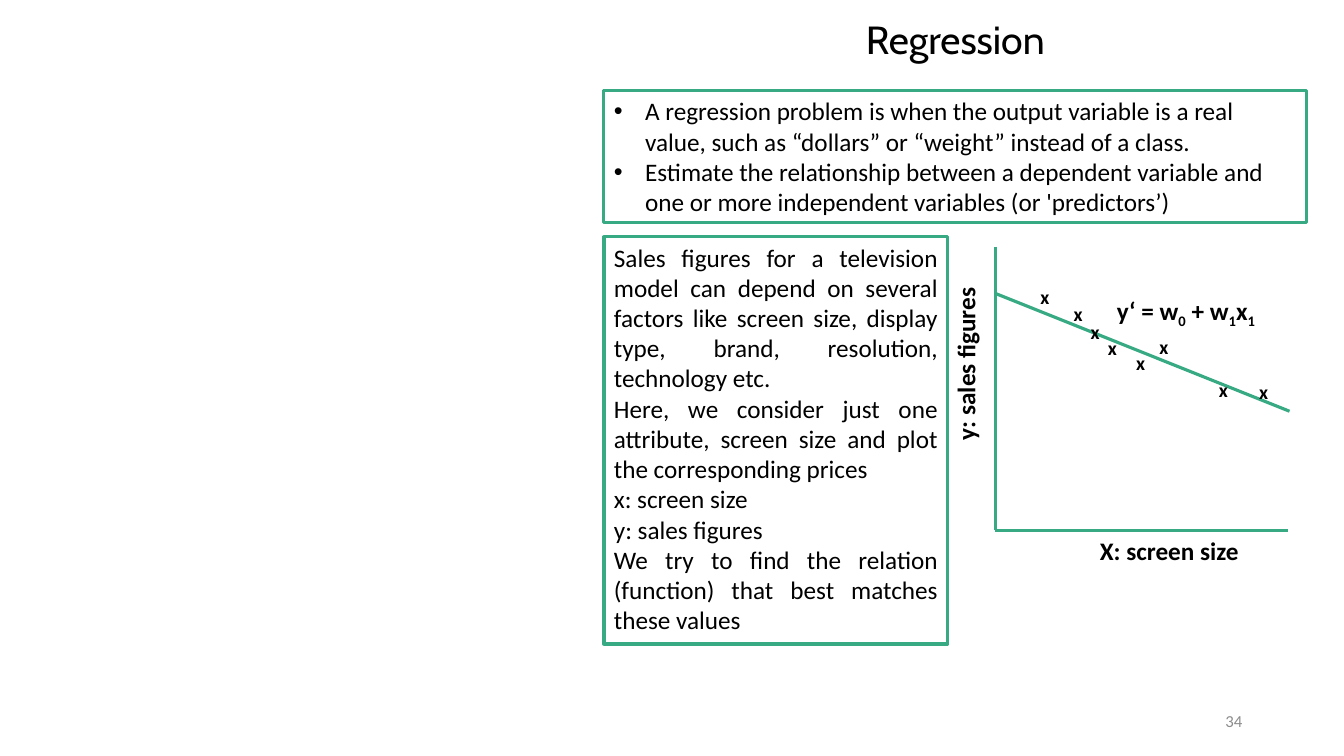
from lxml import etree
from pptx import Presentation
from pptx.dml.color import RGBColor
from pptx.enum import shapes, text
from pptx.oxml import ns
from pptx.util import Inches, Pt

GREEN = RGBColor(0x37, 0xAA, 0x84)
BLACK = RGBColor(0, 0, 0)
GREY = RGBColor(0x8C, 0x8C, 0x8C)

ALIGN = text.PP_ALIGN
ANCHOR = text.MSO_ANCHOR

DEFINITION = [
    "A regression problem is when the output variable is a real value, "
    "such as “dollars” or “weight” instead of a class.",
    "Estimate the relationship between a dependent variable and one or more "
    "independent variables (or 'predictors’)",
]
EXAMPLE = [
    ("Sales figures for a television model can depend on several factors like "
     "screen size, display type, brand, resolution, technology etc.", ALIGN.JUSTIFY),
    ("Here, we consider just one attribute, screen size and plot the "
     "corresponding prices", ALIGN.JUSTIFY),
    ("x: screen size", ALIGN.LEFT),
    ("y: sales figures", ALIGN.LEFT),
    ("We try to find the relation (function) that best matches these values",
     ALIGN.JUSTIFY),
]
# Runs of the fitted equation: text, is subscript
EQUATION = [("y‘ = w", False), ("0", True), (" + w", False),
            ("1", True), ("x", False), ("1", True)]
# Left and top of each data mark
DATA_POINTS = [(10.22, 2.78), (10.55, 2.95), (10.72, 3.12), (10.89, 3.28),
               (11.4, 3.27), (11.17, 3.43), (11.99, 3.7), (12.39, 3.72)]


def write(frame, content, first=False, size=18, font="Calibri", color=BLACK,
          bold=False, align=ALIGN.LEFT, indent=0, bullet=False, spacing=None):
    """Write one paragraph; content is a string or a list of (text, subscript)."""
    paragraph = frame.paragraphs[0] if first else frame.add_paragraph()
    paragraph.alignment = align
    if spacing:
        paragraph.line_spacing = spacing
    properties = paragraph._p.get_or_add_pPr()
    if indent:
        properties.set("marL", str(Inches(indent)))
    if bullet:
        properties.set("indent", str(-Inches(indent)))
        etree.SubElement(properties, ns.qn("a:buFont")).set("typeface", "Arial")
        etree.SubElement(properties, ns.qn("a:buChar")).set("char", "•")
    runs = [(content, False)] if isinstance(content, str) else content
    for words, subscript in runs:
        run = paragraph.add_run()
        run.text = words
        run.font.size = Pt(size)
        run.font.name = font
        run.font.bold = bold
        run.font.color.rgb = color
        if subscript:
            run.font._element.set("baseline", "-25000")


def add_label(parent, content, left, top, width, height, rotation=0,
              anchor=ANCHOR.TOP, **style):
    box = parent.add_textbox(Inches(left), Inches(top), Inches(width), Inches(height))
    box.rotation = rotation
    box.text_frame.word_wrap = True
    box.text_frame.vertical_anchor = anchor
    write(box.text_frame, content, first=True, **style)


def add_panel(parent, left, top, width, height):
    """Draw an outlined panel and return its text frame."""
    panel = parent.add_shape(shapes.MSO_SHAPE.RECTANGLE, Inches(left), Inches(top),
                             Inches(width), Inches(height))
    panel.shadow.inherit = False
    panel.fill.background()
    panel.line.color.rgb = GREEN
    panel.line.width = Pt(2.25)
    frame = panel.text_frame
    frame.word_wrap = True
    frame.vertical_anchor = ANCHOR.TOP
    return frame


def add_line(parent, start, end):
    line = parent.add_connector(shapes.MSO_CONNECTOR.STRAIGHT,
                                *(Inches(value) for value in start + end))
    line.line.color.rgb = GREEN
    line.line.width = Pt(2.25)
    etree.SubElement(line._element.spPr, ns.qn("a:effectLst"))


def add_plot(slide):
    plot = slide.shapes.add_group_shape().shapes
    origin = (9.87, 5.26)

    # Axes and their titles
    add_line(plot, (9.87, 2.45), origin)
    add_line(plot, origin, (12.77, 5.26))
    add_label(plot, "y: sales figures", 8.18, 3.55, 2.79, 0.4, rotation=270,
              bold=True, indent=0.68)
    add_label(plot, "X: screen size", 9.96, 5.26, 2.84, 0.4, bold=True, indent=0.85)

    # Fitted line, equation and data marks
    add_line(plot, (9.87, 2.91), (12.79, 4.08))
    add_label(plot, EQUATION, 10.98, 2.88, 2.84, 0.4, bold=True)
    for left, top in DATA_POINTS:
        add_label(plot, "x", left, top, 0.23, 0.34, size=14, bold=True)


def main():
    presentation = Presentation()
    presentation.slide_width = Inches(13.33)
    presentation.slide_height = Inches(7.5)
    slide = presentation.slides.add_slide(presentation.slide_layouts[6])

    # Title
    add_label(slide.shapes, "Regression", 5.99, 0.16, 6.97, 0.61, size=28,
              font="Cabin", align=ALIGN.CENTER, spacing=0.9)

    # Definition
    frame = add_panel(slide.shapes, 5.99, 0.9, 6.97, 1.31)
    for index, point in enumerate(DEFINITION):
        write(frame, point, first=index == 0, indent=0.31, bullet=True)

    # Worked example
    frame = add_panel(slide.shapes, 5.99, 2.35, 3.41, 4.04)
    for index, (sentence, align) in enumerate(EXAMPLE):
        write(frame, sentence, first=index == 0, align=align)

    add_plot(slide)

    # Slide number
    add_label(slide.shapes, "34", 9.42, 6.95, 3, 0.4, size=12, color=GREY,
              align=ALIGN.RIGHT, anchor=ANCHOR.MIDDLE)

    presentation.save("out.pptx")


if __name__ == "__main__":
    main()
